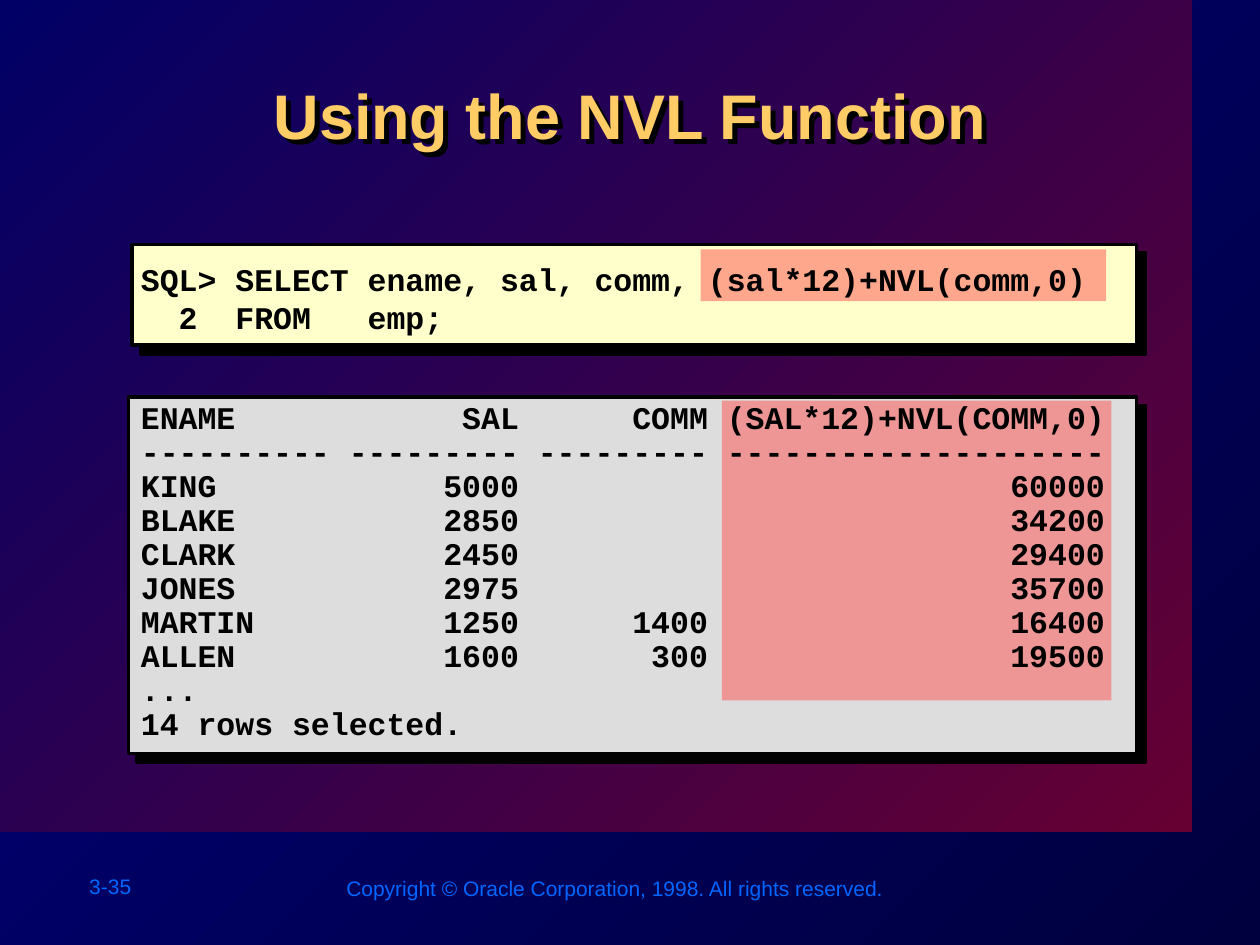
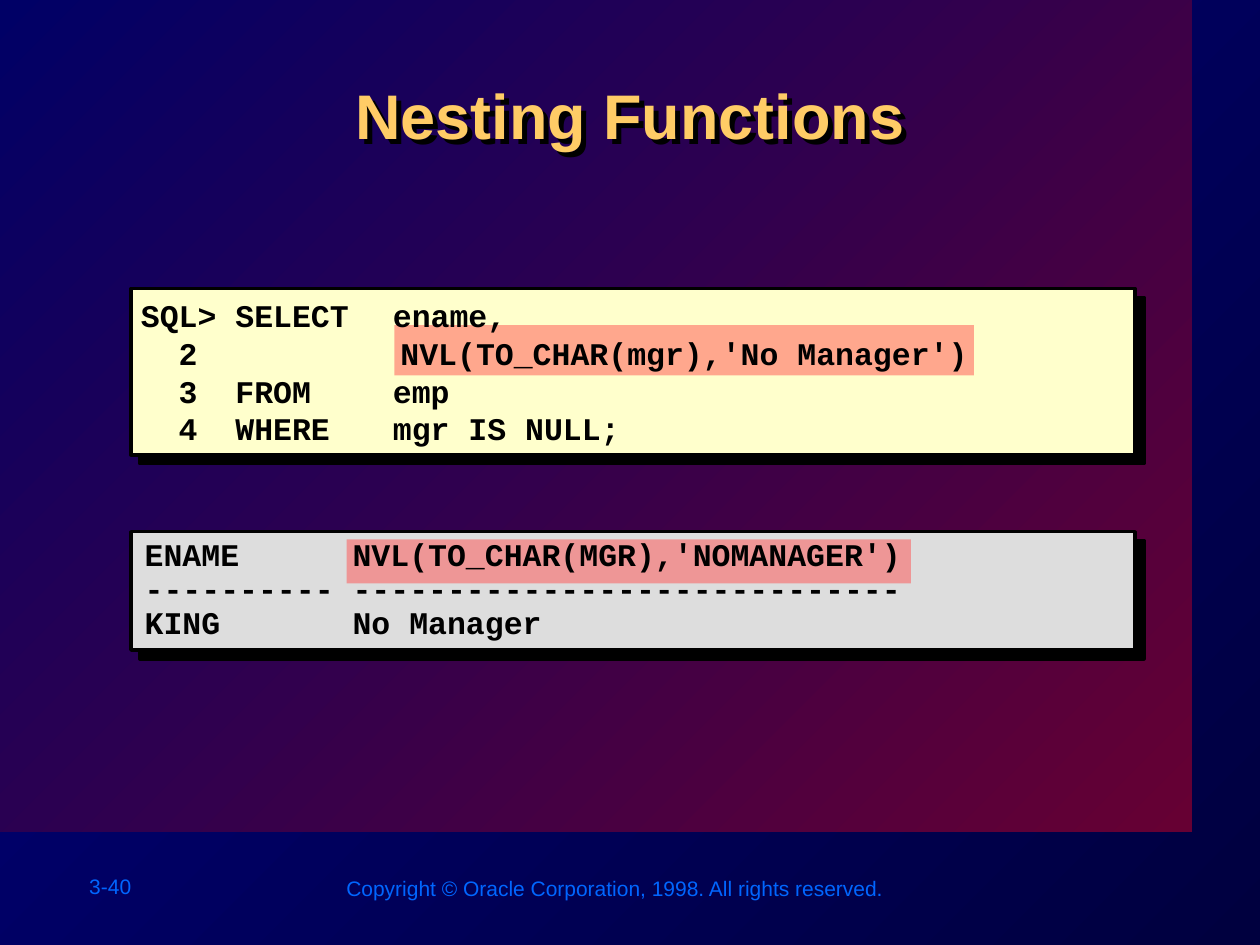
from lxml import etree
from pptx import Presentation
from pptx.dml.color import RGBColor
from pptx.enum.shapes import MSO_SHAPE
from pptx.enum.text import MSO_ANCHOR, PP_ALIGN
from pptx.oxml.ns import qn
from pptx.util import Pt

PX = 9144  # 100 px to the inch
RECT = MSO_SHAPE.RECTANGLE
TOP, MIDDLE = MSO_ANCHOR.TOP, MSO_ANCHOR.MIDDLE
LEFT, CENTER = PP_ALIGN.LEFT, PP_ALIGN.CENTER

HEX = {
    "back": ("00003F", "000080"),
    "band": ("660033", "000066"),
    "title": "FFCC66",
    "footer": "0066FF",
    "query": "FFFFCC",
    "result": "DDDDDD",
    "mark": "FF5050",
    "ink": "000000",
}
STYLES = {  # font, points, bold
    "title": ("Arial", 36, True),
    "footer": ("Arial", 12, False),
    "ink": ("Courier New", 18, True),
}
TABS = (131, 200)
COPY = "Copyright © Oracle Corporation, 1998. All rights reserved."

PAGES = [
    {
        "title": "Using the NVL Function",
        "number": "3-35",
        "panels": [("query", (105, 194, 797, 80)),
                   ("result", (102, 315, 800, 283))],
        "marks": [(556, 198, 322, 41), (573, 318, 309, 238)],
        "query": ((102, 182, 800, 109), [
            "SQL> SELECT ename, sal, comm, (sal*12)+NVL(comm,0)",
            "  2  FROM   emp;",
        ]),
        "result": ((102, 314, 797, 280), [
            "ENAME            SAL      COMM (SAL*12)+NVL(COMM,0)",
            "---------- --------- --------- --------------------",
            "KING            5000                          60000",
            "BLAKE           2850                          34200",
            "CLARK           2450                          29400",
            "JONES           2975                          35700",
            "MARTIN          1250      1400                16400",
            "ALLEN           1600       300                19500",
            "...",
            "14 rows selected.",
        ]),
    },
    {
        "title": "Nesting Functions",
        "number": "3-40",
        "panels": [("query", (104, 229, 797, 132)),
                   ("result", (104, 422, 797, 94))],
        "marks": [(313, 258, 460, 40), (275, 428, 448, 35)],
        "query": ((102, 215, 800, 160), [
            "SQL> SELECT\tename,",
            "  2\t     NVL(TO_CHAR(mgr),'No Manager')",
            "  3  FROM\temp",
            "  4  WHERE\tmgr IS NULL;",
        ]),
        "result": ((105, 423, 794, 91), [
            "ENAME      NVL(TO_CHAR(MGR),'NOMANAGER')",
            "---------- -----------------------------",
            "KING       No Manager",
        ]),
    },
]


def shade(shape, dist):
    """Cast a hard black shadow down and to the right."""
    shape.shadow.inherit = False
    effects = shape.element.spPr.find(qn("a:effectLst"))
    outer = etree.SubElement(effects, qn("a:outerShdw"), blurRad="0",
                             dist=str(Pt(dist)), dir="2700000",
                             algn="ctr", rotWithShape="0")
    etree.SubElement(outer, qn("a:srgbClr"), val=HEX["ink"])


def write(slide, at, lines, style, align=LEFT, anchor=TOP, wrap=True,
          space=None, tabs=()):
    """Add a text box with one paragraph a line."""
    box = slide.shapes.add_textbox(*(n * PX for n in at))
    frame = box.text_frame
    frame.word_wrap = wrap
    frame.vertical_anchor = anchor
    font, size, bold = STYLES[style]
    for i, line in enumerate(lines):
        para = frame.add_paragraph() if i else frame.paragraphs[0]
        if tabs:
            stops = etree.SubElement(para._p.get_or_add_pPr(), qn("a:tabLst"))
            for pos in tabs:
                etree.SubElement(stops, qn("a:tab"), pos=str(pos * PX), algn="l")
        para.alignment = align
        if space:
            para.line_spacing = space
        run = para.add_run()
        run.text = line
        run.font.name = font
        run.font.size = Pt(size)
        run.font.bold = bold
        run.font.color.rgb = RGBColor.from_string(HEX[style])
    return box


prs = Presentation()
prs.slide_width = 1000 * PX
prs.slide_height = 750 * PX

for page in PAGES:
    slide = prs.slides.add_slide(prs.slide_layouts[6])

    # Background and band, both lit along the diagonal
    band = slide.shapes.add_shape(RECT, 0, 0, 946 * PX, 660 * PX)
    band.shadow.inherit = False
    band.line.fill.background()
    for fill, name in ((slide.background.fill, "back"), (band.fill, "band")):
        fill.gradient()
        fill.gradient_angle = 135
        for stop, pos, tone in zip(fill.gradient_stops, (0, 1), HEX[name]):
            stop.position = pos
            stop.color.rgb = RGBColor.from_string(tone)

    # Footer
    write(slide, (61, 688, 111, 30), [page["number"]], "footer", wrap=False)
    write(slide, (265, 690, 448, 30), [COPY], "footer", wrap=False)

    # Code panels
    for name, at in page["panels"]:
        panel = slide.shapes.add_shape(RECT, *(n * PX for n in at))
        panel.fill.solid()
        panel.fill.fore_color.rgb = RGBColor.from_string(HEX[name])
        panel.line.color.rgb = RGBColor.from_string(HEX["ink"])
        panel.line.width = Pt(2)
        shade(panel, 7.1)

    # Half-clear marks behind the key code
    for at in page["marks"]:
        mark = slide.shapes.add_shape(RECT, *(n * PX for n in at))
        mark.shadow.inherit = False
        mark.line.fill.background()
        mark.fill.solid()
        mark.fill.fore_color.rgb = RGBColor.from_string(HEX["mark"])
        tone = mark.element.spPr.find(qn("a:solidFill"))[0]
        etree.SubElement(tone, qn("a:alpha"), val="50000")

    # Title and code
    title = write(slide, (101, 56, 798, 96), [page["title"]], "title", CENTER)
    shade(title, 4)
    at, lines = page["query"]
    write(slide, at, lines, "ink", anchor=MIDDLE, wrap=False, tabs=TABS)
    at, lines = page["result"]
    write(slide, at, lines, "ink", space=0.9)

prs.save("out.pptx")
